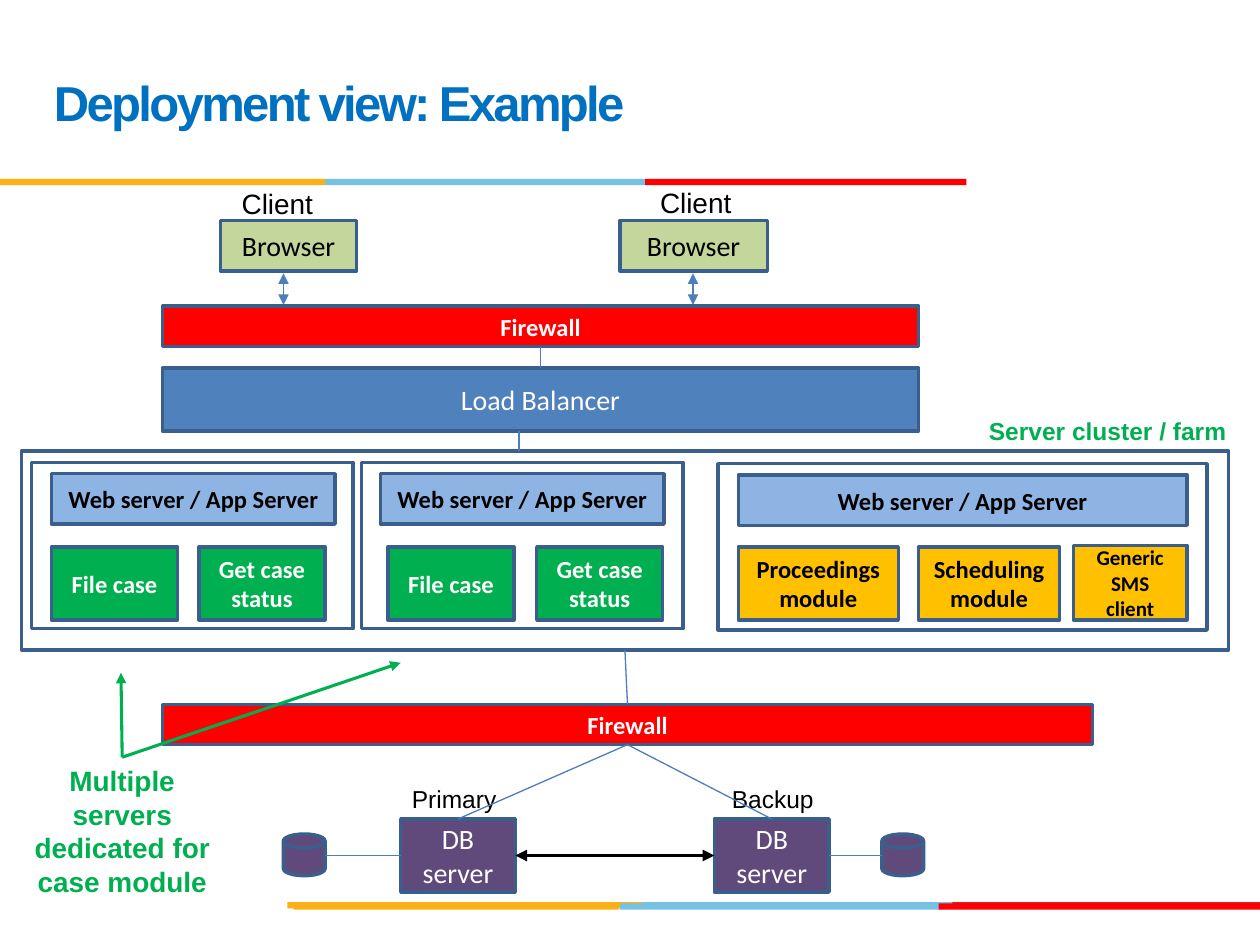
from lxml import etree
from pptx import Presentation
from pptx.dml.color import RGBColor
from pptx.enum.shapes import MSO_CONNECTOR, MSO_SHAPE
from pptx.enum.text import MSO_ANCHOR, MSO_AUTO_SIZE, PP_ALIGN
from pptx.oxml.ns import qn
from pptx.util import Inches, Pt

RECT = MSO_SHAPE.RECTANGLE
DISK = MSO_SHAPE.FLOWCHART_MAGNETIC_DISK
STRAIGHT = MSO_CONNECTOR.STRAIGHT
MIDDLE, TOP_ANCHOR = MSO_ANCHOR.MIDDLE, MSO_ANCHOR.TOP
CENTER, LEFT_ALIGN = PP_ALIGN.CENTER, PP_ALIGN.LEFT
FIT, FIXED = MSO_AUTO_SIZE.SHAPE_TO_FIT_TEXT, MSO_AUTO_SIZE.NONE
TOP, LEFT, BOTTOM, RIGHT = range(4)

BLACK, WHITE, RED, GREEN = "000000", "FFFFFF", "FF0000", "00B050"
OUTLINE, LINK, BLUE, PALE_BLUE = "3A5F8C", "4B7EBC", "4F81BD", "8EB4E3"
PURPLE, OLIVE, AMBER = "604A7B", "C3D69B", "FFC000"
BAND_GOLD, BAND_BLUE, BAND_RED = "FCB017", "76C2E5", "E31C24"

BANDS = [
    (5.06, 7.16, 2.55, BAND_BLUE), (7.56, 7.16, 2.44, BAND_RED),
    (2.28, 7.16, 2.82, BAND_GOLD), (4.92, 7.17, 2.55, BAND_BLUE),
    (2.33, 7.17, 2.58, BAND_GOLD), (7.45, 7.17, 2.55, RED),
    (2.58, 1.42, 2.55, BAND_BLUE), (0, 1.42, 2.58, BAND_GOLD),
    (5.12, 1.42, 2.55, RED),
]
CASE_MODULES = [("File case", 1), ("Get case status", 1)]
SERVERS = [
    ((0.25, 3.67, 2.55, 1.32), (0.41, 3.76, 2.25, 0.4),
     [("File case", 0.41, 1), ("Get case status", 1.58, 1)], GREEN, WHITE),
    ((2.87, 3.67, 2.55, 1.32), (3.02, 3.76, 2.25, 0.4),
     [("File case", 3.08, 1), ("Get case status", 4.26, 1)], GREEN, WHITE),
    ((5.7, 3.68, 3.88, 1.32), (5.86, 3.77, 3.56, 0.4),
     [("Proceedings module", 5.86, 1.27), ("Scheduling module", 7.29, 1.12)],
     AMBER, BLACK),
]


def rgb(value):
    """Turn a hex string into a colour."""
    return RGBColor.from_string(value)


def write(tf, text, size=14, color=BLACK, font="Calibri", bold=False,
          align=CENTER, anchor=MIDDLE, wrap=True, fit=FIXED):
    """Put formatted text into a frame and return its paragraph and run."""
    tf.word_wrap = wrap
    tf.auto_size = fit
    tf.vertical_anchor = anchor
    p = tf.paragraphs[0]
    p.alignment = align
    r = p.add_run()
    r.text = text
    r.font.name, r.font.size, r.font.bold = font, Pt(size), bold
    r.font.color.rgb = rgb(color)
    return p, r


def add_shape(s, box, fill=None, text=None, line=OUTLINE, kind=RECT, **fmt):
    """Add a preset shape, with text when given."""
    sp = s.shapes.add_shape(kind, *map(Inches, box))
    sp.shadow.inherit = False
    if fill:
        sp.fill.solid()
        sp.fill.fore_color.rgb = rgb(fill)
    else:
        sp.fill.background()
    if line:
        sp.line.color.rgb = rgb(line)
        sp.line.width = Pt(2)
    else:
        sp.line.fill.background()
    if text:
        write(sp.text_frame, text, **fmt)
    return sp


def add_label(s, box, text, **fmt):
    """Add a text box in Arial and return its paragraph and run."""
    tf = s.shapes.add_textbox(*map(Inches, box)).text_frame
    return write(tf, text, font="Arial", **fmt)


def add_link(s, start, end, color=LINK, width=0.75, heads=(),
             begin=None, finish=None):
    """Add a straight line, joined to (shape, site) pairs when given."""
    c = s.shapes.add_connector(STRAIGHT, *map(Inches, (*start, *end)))
    if begin:
        c.begin_connect(*begin)
    if finish:
        c.end_connect(*finish)
    c.line.color.rgb = rgb(color)
    c.line.width = Pt(width)
    for tag in heads:
        etree.SubElement(c.line._get_or_add_ln(), qn(tag), type="triangle")
    etree.SubElement(c._element.spPr, qn("a:effectLst"))
    return c


def add_title(s):
    """Add the slide heading."""
    p, r = add_label(s, (0.33, 0.17, 7.83, 1.25), "Deployment view: Example",
                     size=28, color="0070C0", bold=True, align=LEFT_ALIGN)
    p.line_spacing = Pt(36)
    r.font._element.set("spc", "-150")


def add_server(s, frame, header, modules, fill, color):
    """Add a server frame with its header and module boxes."""
    add_shape(s, frame)
    add_shape(s, header, PALE_BLUE, "Web server / App Server", bold=True)
    for text, x, w in modules:
        add_shape(s, (x, 4.34, w, 0.58), fill, text, color=color, bold=True)


def add_database(s, x, disk_x, name, name_box, firewall):
    """Add a database server with its name, disk and links."""
    db = add_shape(s, (x, 6.5, 0.91, 0.58), PURPLE, "DB server",
                   size=16, color=WHITE)
    add_shape(s, (disk_x, 6.62, 0.33, 0.33), PURPLE, kind=DISK)
    add_label(s, name_box, name, align=LEFT_ALIGN, anchor=TOP_ANCHOR,
              wrap=False, fit=FIT)
    on_left = disk_x < x
    disk_end = (disk_x + 0.33 if on_left else disk_x, 6.79)
    add_link(s, disk_end, (x, 6.79), finish=(db, LEFT if on_left else RIGHT))
    add_link(s, (4.98, 5.92), (x, 6.5), begin=(firewall, BOTTOM),
             finish=(db, TOP))
    return db


def main():
    """Build the deployment slide."""
    prs = Presentation()
    prs.slide_width, prs.slide_height = Inches(10), Inches(7.5)
    s = prs.slides.add_slide(prs.slide_layouts[6])
    both, tail = ("a:headEnd", "a:tailEnd"), ("a:tailEnd",)
    plain = dict(align=LEFT_ALIGN, anchor=TOP_ANCHOR, wrap=False, fit=FIT)

    for x, y, w, fill in BANDS:
        add_shape(s, (x, y, w, 0.05), fill, line=None)
    add_title(s)

    for x, w, label_x, label_y, arrow_x in [(1.75, 1.08, 1.82, 1.43, 2.25),
                                            (4.92, 1.17, 5.14, 1.42, 5.5)]:
        add_shape(s, (x, 1.75, w, 0.4), OLIVE, "Browser", size=16)
        add_label(s, (label_x, label_y, 0.77, 0.37), "Client", size=16, **plain)
        add_link(s, (arrow_x, 2.17), (arrow_x, 2.42), heads=both)

    outer, inner = [add_shape(s, box, RED, "Firewall", color=WHITE, bold=True)
                    for box in [(1.29, 2.43, 6, 0.32), (1.29, 5.59, 7.38, 0.32)]]
    balancer = add_shape(s, (1.29, 2.92, 6, 0.5), BLUE, "Load Balancer",
                         size=16, color=WHITE)
    add_link(s, (4.29, 2.75), (4.29, 2.92), begin=(outer, BOTTOM),
             finish=(balancer, TOP))

    cluster = add_shape(s, (0.17, 3.58, 9.58, 1.58))
    add_label(s, (7.75, 3.25, 2.1, 0.34), "Server cluster / farm",
              color=GREEN, bold=True, **plain)
    add_link(s, (4.12, 3.42), (4.12, 3.58))
    for server in SERVERS:
        add_server(s, *server)
    add_shape(s, (8.52, 4.33, 0.9, 0.59), AMBER, "Generic SMS client",
              size=12, bold=True)
    add_link(s, (4.96, 5.17), (4.98, 5.59), begin=(cluster, BOTTOM),
             finish=(inner, TOP))

    primary = add_database(s, 3.18, 2.25, "Primary",
                           (3.17, 6.17, 0.88, 0.34), inner)
    backup = add_database(s, 5.67, 7, "Backup",
                          (5.71, 6.17, 0.86, 0.34), inner)
    add_link(s, (4.08, 6.79), (5.67, 6.79), BLACK, 2.25, both,
             begin=(primary, RIGHT), finish=(backup, LEFT))

    add_label(s, (0.15, 6.01, 1.64, 1.18),
              "Multiple servers dedicated for case module", size=16,
              color=GREEN, bold=True, anchor=TOP_ANCHOR, fit=FIT)
    for tip in [(0.96, 5.34), (3.18, 5.26)]:
        add_link(s, (0.97, 6.01), tip, GREEN, 1.75, tail)

    prs.save("out.pptx")


if __name__ == "__main__":
    main()
